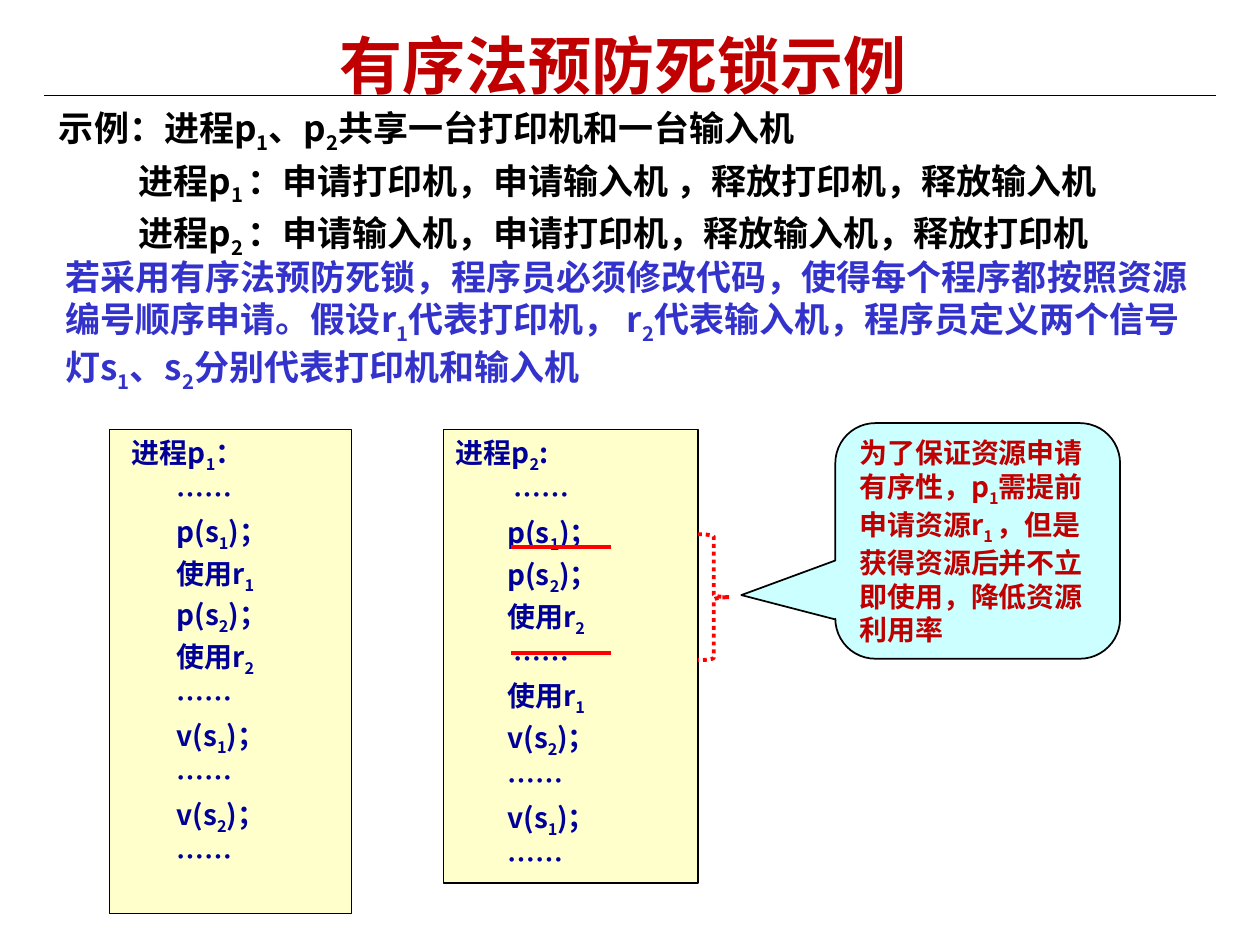
import dataclasses

import pptx
import pptx.util
import pptx.dml.color
import pptx.enum.dml
import pptx.enum.shapes
import pptx.enum.text
import pptx.oxml

Cm = pptx.util.Cm
Pt = pptx.util.Pt
SHAPE = pptx.enum.shapes.MSO_SHAPE
ALIGN = pptx.enum.text.PP_ALIGN
ANCHOR = pptx.enum.text.MSO_ANCHOR
DASH = pptx.enum.dml.MSO_LINE
NS = 'xmlns:a="http://schemas.openxmlformats.org/drawingml/2006/main"'

FACE = "Noto Sans CJK SC"
COLORS = {
    "black": "000000",
    "title": "C00000",
    "code": "000099",
    "plan": "3333CC",
    "paper": "FFFFCC",
    "bubble": "CCFFFF",
    "mark": "FF0000",
}


@dataclasses.dataclass
class Line:
    """One paragraph; text between bars is subscript, indent is in cm."""
    text: str
    indent: float = 0


@dataclasses.dataclass
class Block:
    """A text area; place is left, top, width, height in cm."""
    place: tuple
    lines: list
    size: int
    color: str
    space: float = 0
    align: ALIGN = ALIGN.LEFT
    anchor: ANCHOR = ANCHOR.TOP
    kind: SHAPE = None
    fill: str = None
    edge: float = 0.75
    adjust: tuple = ()


def rgb(name: str) -> pptx.dml.color.RGBColor:
    return pptx.dml.color.RGBColor.from_string(COLORS[name])


def assign(target, values: dict) -> None:
    for key, value in values.items():
        setattr(target, key, value)


def draw_rule(slide, left: float, right: float, top: float, color: str, width: float) -> None:
    rule = slide.shapes.add_connector(
        pptx.enum.shapes.MSO_CONNECTOR.STRAIGHT, Cm(left), Cm(top), Cm(right), Cm(top))
    rule.line.color.rgb = rgb(color)
    rule.line.width = Pt(width)
    rule._element.spPr.append(pptx.oxml.parse_xml(f"<a:effectLst {NS}/>"))


def add_run(para, text: str, block: Block, lowered: bool) -> None:
    run = para.add_run()
    run.text = text
    assign(run.font, {"name": FACE, "size": Pt(block.size), "bold": True})
    run.font.color.rgb = rgb(block.color)
    props = run._r.get_or_add_rPr()
    props.append(pptx.oxml.parse_xml(f'<a:ea {NS} typeface="{FACE}"/>'))
    if lowered:
        props.set("baseline", "-25000")


def add_shape(slide, kind: SHAPE, place: tuple, adjust: tuple):
    shape = slide.shapes.add_shape(kind, *map(Cm, place))
    shape.shadow.inherit = False
    for index, value in enumerate(adjust):
        shape.adjustments[index] = value
    return shape


def draw_block(slide, block: Block) -> None:
    if block.kind is None:
        shape = slide.shapes.add_textbox(*map(Cm, block.place))
    else:
        shape = add_shape(slide, block.kind, block.place, block.adjust)
        shape.fill.solid()
        shape.fill.fore_color.rgb = rgb(block.fill)
        shape.line.color.rgb = rgb("black")
        shape.line.width = Pt(block.edge)
    frame = shape.text_frame
    assign(frame, {"word_wrap": True, "vertical_anchor": block.anchor})
    for index, line in enumerate(block.lines):
        para = frame.add_paragraph() if index else frame.paragraphs[0]
        assign(para, {"alignment": block.align, "space_before": Pt(block.space)})
        if line.indent:
            para._p.get_or_add_pPr().set("marL", str(Cm(line.indent)))
        for part, text in enumerate(line.text.split("|")):
            if text:
                add_run(para, text, block, part % 2 == 1)


def draw_brace(slide, place: tuple) -> None:
    brace = add_shape(slide, SHAPE.RIGHT_BRACE, place, (0.08, 0.5))
    brace.fill.background()
    brace.line.color.rgb = rgb("mark")
    assign(brace.line, {"width": Pt(2.25), "dash_style": DASH.ROUND_DOT})


def code_lines(head: str, steps: list, start: float, indent: float) -> list:
    return [Line(head, start)] + [Line(step, indent) for step in steps]


DOTS = "……"
FIRST = code_lines("进程p|1|：", [
    DOTS, "p(s|1|)；", "使用r|1|", "p(s|2|)；", "使用r|2|", DOTS,
    "v(s|1|)；", DOTS, "v(s|2|)；", DOTS], 0.2, 1.1)
SECOND = code_lines("进程p|2|:", [
    DOTS, "p(s|1|)；", "p(s|2|)；", "使用r|2|", DOTS, "使用r|1|",
    "v(s|2|)；", DOTS, "v(s|1|)；", DOTS], 0, 1.04)
for row in (1, 5):
    SECOND[row].indent = 1.17

BLOCKS = [
    Block((0.94, 2.03, 23.5, 3.33), [
        Line("示例：进程p|1|、p|2|共享一台打印机和一台输入机"),
        Line("进程p|1 |：申请打印机，申请输入机 ，释放打印机，释放输入机", 1.6),
        Line("进程p|2 |：申请输入机，申请打印机，释放输入机，释放打印机", 1.6),
    ], 20, "black", 2.6),
    Block((0.69, 0.41, 23.75, 1.78), [Line("有序法预防死锁示例")],
          36, "title", 13.5, ALIGN.CENTER),
    Block((2.21, 8.66, 4.88, 9.75), FIRST, 16, "code", 2,
          kind=SHAPE.RECTANGLE, fill="paper"),
    Block((8.94, 8.66, 5.13, 9.14), SECOND, 16, "code", 2.2,
          kind=SHAPE.RECTANGLE, fill="paper"),
    Block((1.07, 5.03, 23.5, 3.02), [
        Line("若采用有序法预防死锁，程序员必须修改代码，使得每个程序都按照资源编号顺序申请。"
             "假设r|1|代表打印机， r|2|代表输入机，程序员定义两个信号灯s|1|、s|2|"
             "分别代表打印机和输入机"),
    ], 20, "plan", 2.6),
    Block((16.84, 8.53, 5.74, 4.75), [
        Line("为了保证资源申请有序性，p|1|需提前申请资源r|1 |"
             "，但是获得资源后并不立即使用，降低资源利用率"),
    ], 16, "title", anchor=ANCHOR.MIDDLE, kind=SHAPE.ROUNDED_RECTANGULAR_CALLOUT,
        fill="bubble", edge=1, adjust=(-0.83, 0.23, 0.17)),
]


def main() -> None:
    deck = pptx.Presentation()
    assign(deck, {"slide_width": Cm(25.4), "slide_height": Cm(19.05)})
    slide = deck.slides.add_slide(deck.slide_layouts[6])
    draw_rule(slide, 0.89, 24.51, 1.93, "black", 0.75)
    for block in BLOCKS:
        draw_block(slide, block)
    for top in (11.02, 13.16):
        draw_rule(slide, 10.31, 12.32, top, "mark", 2.25)
    draw_brace(slide, (14.07, 10.77, 0.64, 2.54))
    deck.save("out.pptx")


if __name__ == "__main__":
    main()
